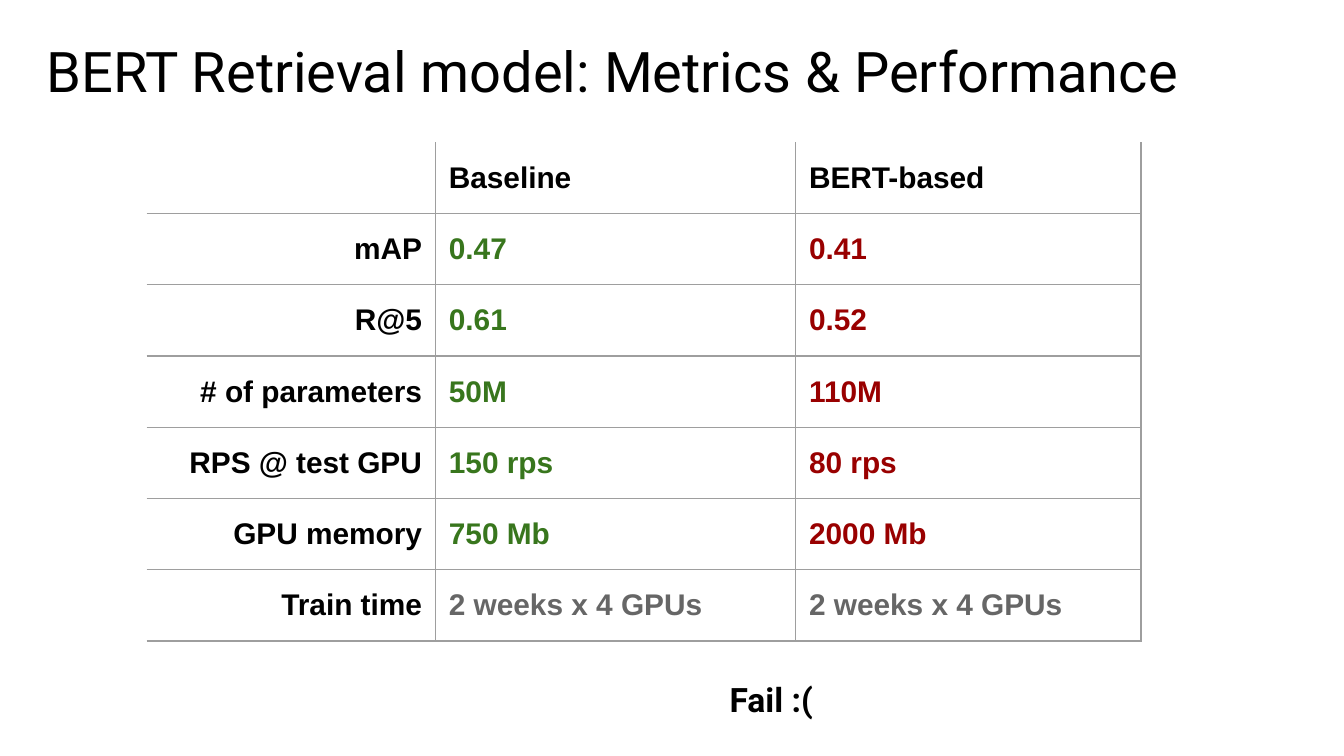
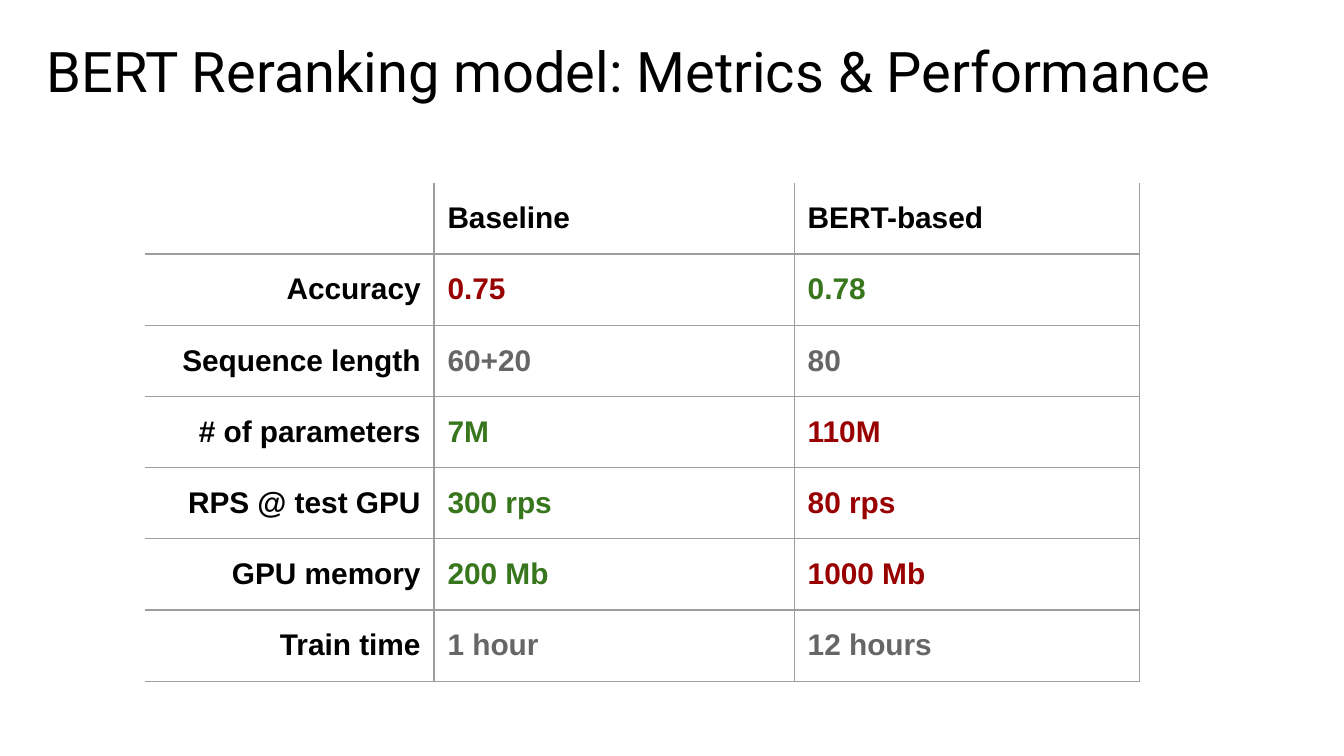
from lxml import etree
from pptx import Presentation
from pptx.dml.color import RGBColor
from pptx.enum import text
from pptx.oxml import ns
from pptx.util import Inches, Pt

COLORS = {
    "black": "000000",
    "good": "38761D",
    "bad": "990000",
    "same": "666666",
    "grid": "9E9E9E",
    "page": "FFFFFF",
}
HEADS = ("", "Baseline", "BERT-based")
WIDTHS = (2.15, 2.68, 2.57)
ROW = 0.53
INSET = Inches(0.1)

# Each row: label, (baseline, colour), (BERT-based, colour)
RETRIEVAL = [
    ("mAP", ("0.47", "good"), ("0.41", "bad")),
    ("R@5", ("0.61", "good"), ("0.52", "bad")),
    ("# of parameters", ("50M", "good"), ("110M", "bad")),
    ("RPS @ test GPU", ("150 rps", "good"), ("80 rps", "bad")),
    ("GPU memory", ("750 Mb", "good"), ("2000 Mb", "bad")),
    ("Train time", ("2 weeks x 4 GPUs", "same"), ("2 weeks x 4 GPUs", "same")),
]
RERANKING = [
    ("Accuracy", ("0.75", "bad"), ("0.78", "good")),
    ("Sequence length", ("60+20", "same"), ("80", "same")),
    ("# of parameters", ("7M", "good"), ("110M", "bad")),
    ("RPS @ test GPU", ("300 rps", "good"), ("80 rps", "bad")),
    ("GPU memory", ("200 Mb", "good"), ("1000 Mb", "bad")),
    ("Train time", ("1 hour", "same"), ("12 hours", "same")),
]


def rgb(name):
    return RGBColor.from_string(COLORS[name])


def style(para, face, size, color="black", bold=False):
    font = para.font
    font.name, font.size, font.bold = face, Pt(size), bold
    font.color.rgb = rgb(color)


def pad(item):
    item.margin_left = item.margin_right = INSET
    item.margin_top = item.margin_bottom = INSET


def add_text(slide, words, box, size, bold=False):
    frame = slide.shapes.add_textbox(*map(Inches, box)).text_frame
    frame.word_wrap = True
    pad(frame)
    para = frame.paragraphs[0]
    para.text = words
    style(para, "Roboto", size, bold=bold)


def add_edges(cell, shown):
    """Draw the shown sides (of L, R, T, B) and clear the others."""
    props = cell._tc.get_or_add_tcPr()
    for spot, side in enumerate("LRTB"):
        line = etree.Element(ns.qn("a:ln" + side), w=str(Pt(0.75)))
        if side in shown:
            fill = etree.SubElement(line, ns.qn("a:solidFill"))
            etree.SubElement(fill, ns.qn("a:srgbClr"), val=COLORS["grid"])
        else:
            etree.SubElement(line, ns.qn("a:noFill"))
        props.insert(spot, line)


def fill_cell(cell, words, color, right):
    cell.fill.background()
    cell.vertical_anchor = text.MSO_ANCHOR.MIDDLE
    pad(cell)
    para = cell.text_frame.paragraphs[0]
    para.text = words
    para.alignment = text.PP_ALIGN.RIGHT if right else text.PP_ALIGN.LEFT
    style(para, "Arial", 16, color, True)


def add_table(slide, left, top, data):
    rows = [[(head, "black") for head in HEADS]]
    rows += [[(label, "black"), *values] for label, *values in data]
    table = slide.shapes.add_table(
        len(rows), len(HEADS), Inches(left), Inches(top),
        Inches(sum(WIDTHS)), Inches(ROW * len(rows))).table
    table.first_row = table.horz_banding = False
    for col, width in zip(table.columns, WIDTHS):
        col.width = Inches(width)
    for r, row in enumerate(rows):
        table.rows[r].height = Inches(ROW)
        for c, (words, color) in enumerate(row):
            cell = table.cell(r, c)
            fill_cell(cell, words, color, right=c == 0)
            # The outer left and top edges stay open
            add_edges(cell, "RB" + ("L" if c else "") + ("T" if r else ""))


def add_slide(deck, model, width, left, top, data):
    slide = deck.slides.add_slide(deck.slide_layouts[6])
    back = slide.background.fill
    back.solid()
    back.fore_color.rgb = rgb("page")
    title = f"BERT {model} model: Metrics & Performance"
    add_text(slide, title, (0.25, 0.17, width, 0.67), 30)
    add_table(slide, left, top, data)
    return slide


def main():
    deck = Presentation()
    # Widescreen, 16:9
    deck.slide_width = Inches(10)
    deck.slide_height = Inches(10 * 9 / 16)

    # Retrieval results and verdict
    slide = add_slide(deck, "Retrieval", 8.82, 1.09, 1.06, RETRIEVAL)
    add_text(slide, "Fail :(", (5.33, 4.95, 7.4, 0.86), 18, bold=True)

    # Reranking results
    add_slide(deck, "Reranking", 9.52, 1.08, 1.36, RERANKING)

    deck.save("out.pptx")


if __name__ == "__main__":
    main()
